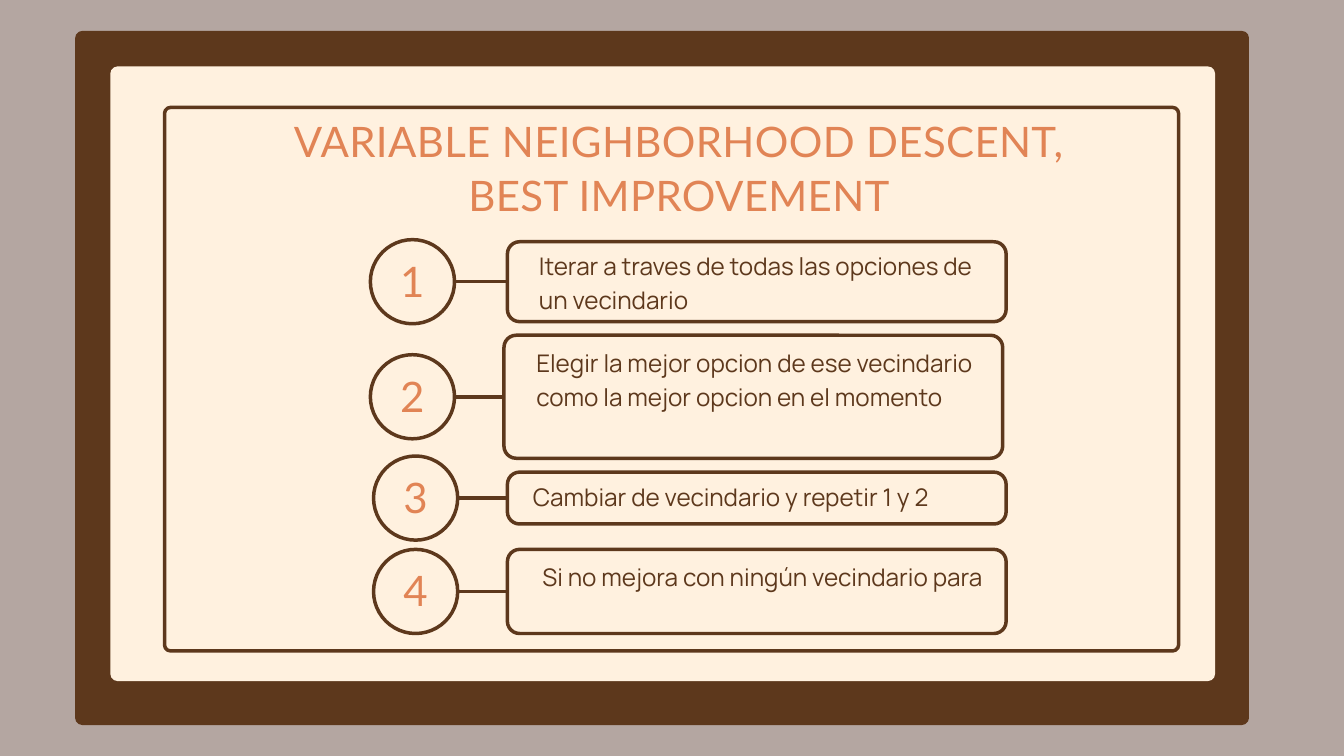
"""Build the slide listing the four steps of variable neighborhood descent."""
from dataclasses import dataclass

from pptx import Presentation
from pptx.dml.color import RGBColor
from pptx.enum.shapes import MSO_CONNECTOR, MSO_SHAPE
from pptx.enum.text import MSO_AUTO_SIZE, PP_ALIGN
from pptx.oxml.ns import qn
from pptx.shapes.autoshape import Shape
from pptx.slide import Slide
from pptx.util import Cm, Pt

ROUNDED = MSO_SHAPE.ROUNDED_RECTANGLE
OVAL = MSO_SHAPE.OVAL
STRAIGHT = MSO_CONNECTOR.STRAIGHT
FIT = MSO_AUTO_SIZE.SHAPE_TO_FIT_TEXT
LEFT, CENTER = PP_ALIGN.LEFT, PP_ALIGN.CENTER

TAUPE, BROWN, CREAM, ORANGE = "B4A6A1", "5D381C", "FFF1DF", "E18455"
LINE_WIDTH = 3.75
CIRCLE = 3.18
CARD_WIDTH, CARD_RADIUS = 18.85, 0.46


@dataclass(frozen=True)
class Box:
    """A rectangle in centimetres."""

    x: float
    y: float
    w: float
    h: float


@dataclass(frozen=True)
class TextStyle:
    """Look of a paragraph, in points."""

    font: str
    size: float
    color: str
    leading: float
    align: PP_ALIGN
    spacing: float = 0


@dataclass(frozen=True)
class Step:
    """A numbered circle joined to a card at one middle height."""

    text: str
    middle: float
    circle_x: float
    card_x: float
    card_h: float
    text_box: Box


HEADING = TextStyle("Lato", 45, ORANGE, 58, CENTER, 0.4)
BODY = TextStyle("Manrope", 26, BROWN, 36.4, LEFT)

STEPS = [
    Step("Iterar a traves de todas las opciones de un vecindario",
         10.65, 14, 19.18, 3.02, Box(20.37, 9.3, 16.43, 2.54)),
    Step("Elegir la mejor opcion de ese vecindario como la mejor opcion en el momento",
         15, 14, 19.05, 4.65, Box(20.27, 13, 16.89, 3.81)),
    Step("Cambiar de vecindario y repetir 1 y 2",
         18.83, 14.12, 19.18, 1.96, Box(20.14, 18.03, 16.89, 1.27)),
    Step("Si no mejora con ningún vecindario para",
         22.36, 14.12, 19.18, 3.18, Box(20.5, 21.08, 16.66, 2.54)),
]


def rgb(value: str) -> RGBColor:
    """Turn a hex string into a colour."""
    return RGBColor.from_string(value)


def add_panel(s: Slide, kind: MSO_SHAPE, box: Box, radius: float = 0,
              fill: str = "") -> Shape:
    """Draw a filled shape, or an outlined one when no fill is given."""
    sp = s.shapes.add_shape(kind, Cm(box.x), Cm(box.y), Cm(box.w), Cm(box.h))
    sp.shadow.inherit = False
    if radius:
        sp.adjustments[0] = radius / min(box.w, box.h)
    if fill:
        sp.fill.solid()
        sp.fill.fore_color.rgb = rgb(fill)
        sp.line.fill.background()
    else:
        sp.fill.background()
        sp.line.color.rgb = rgb(BROWN)
        sp.line.width = Pt(LINE_WIDTH)
    return sp


def add_text(s: Slide, box: Box, text: str, style: TextStyle) -> None:
    """Draw a wrapped text box without margins."""
    sp = s.shapes.add_textbox(Cm(box.x), Cm(box.y), Cm(box.w), Cm(box.h))
    tf = sp.text_frame
    tf.word_wrap = True
    tf.auto_size = FIT
    tf.margin_left = tf.margin_top = tf.margin_right = tf.margin_bottom = 0
    p = tf.paragraphs[0]
    p.alignment = style.align
    p.line_spacing = Pt(style.leading)
    r = p.add_run()
    r.text = text
    r.font.name = style.font
    r.font.size = Pt(style.size)
    r.font.color.rgb = rgb(style.color)
    if style.spacing:
        r._r.get_or_add_rPr().set("spc", str(round(style.spacing * 100)))


def add_link(s: Slide, x: float, y: float, card: Shape) -> None:
    """Join a circle's right edge to the middle of a card's left side."""
    line = s.shapes.add_connector(STRAIGHT, Cm(x), Cm(y), card.left, Cm(y))
    line.end_connect(card, 1)
    line.line.color.rgb = rgb(BROWN)
    line.line.width = Pt(LINE_WIDTH)
    sp_pr = line._element.spPr
    sp_pr.append(sp_pr.makeelement(qn("a:effectLst"), {}))


def add_step(s: Slide, number: int, step: Step) -> None:
    """Draw one numbered step."""
    add_panel(s, OVAL, Box(step.circle_x, step.middle - CIRCLE / 2, CIRCLE, CIRCLE))
    card_box = Box(step.card_x, step.middle - step.card_h / 2, CARD_WIDTH, step.card_h)
    card = add_panel(s, ROUNDED, card_box, CARD_RADIUS)
    add_link(s, step.circle_x + CIRCLE, step.middle, card)
    add_text(s, step.text_box, step.text, BODY)
    number_box = Box(step.circle_x - 1.12, step.middle - 1.14, 5.41, 2.03)
    add_text(s, number_box, str(number), HEADING)


def main() -> None:
    """Build and save the slide."""
    prs = Presentation()
    prs.slide_width, prs.slide_height = Cm(50.8), Cm(28.58)
    s = prs.slides.add_slide(prs.slide_layouts[6])
    s.background.fill.solid()
    s.background.fill.fore_color.rgb = rgb(TAUPE)
    add_panel(s, ROUNDED, Box(2.84, 1.17, 44.37, 26.24), 0.27, BROWN)
    add_panel(s, ROUNDED, Box(4.17, 2.51, 41.76, 23.24), 0.28, CREAM)
    add_panel(s, ROUNDED, Box(6.22, 4.06, 38.33, 20.55), 0.23)
    add_text(s, Box(11.02, 4.24, 29.31, 4.06),
             "VARIABLE NEIGHBORHOOD DESCENT, BEST IMPROVEMENT", HEADING)
    for number, step in enumerate(STEPS, 1):
        add_step(s, number, step)
    prs.save("out.pptx")


if __name__ == "__main__":
    main()
